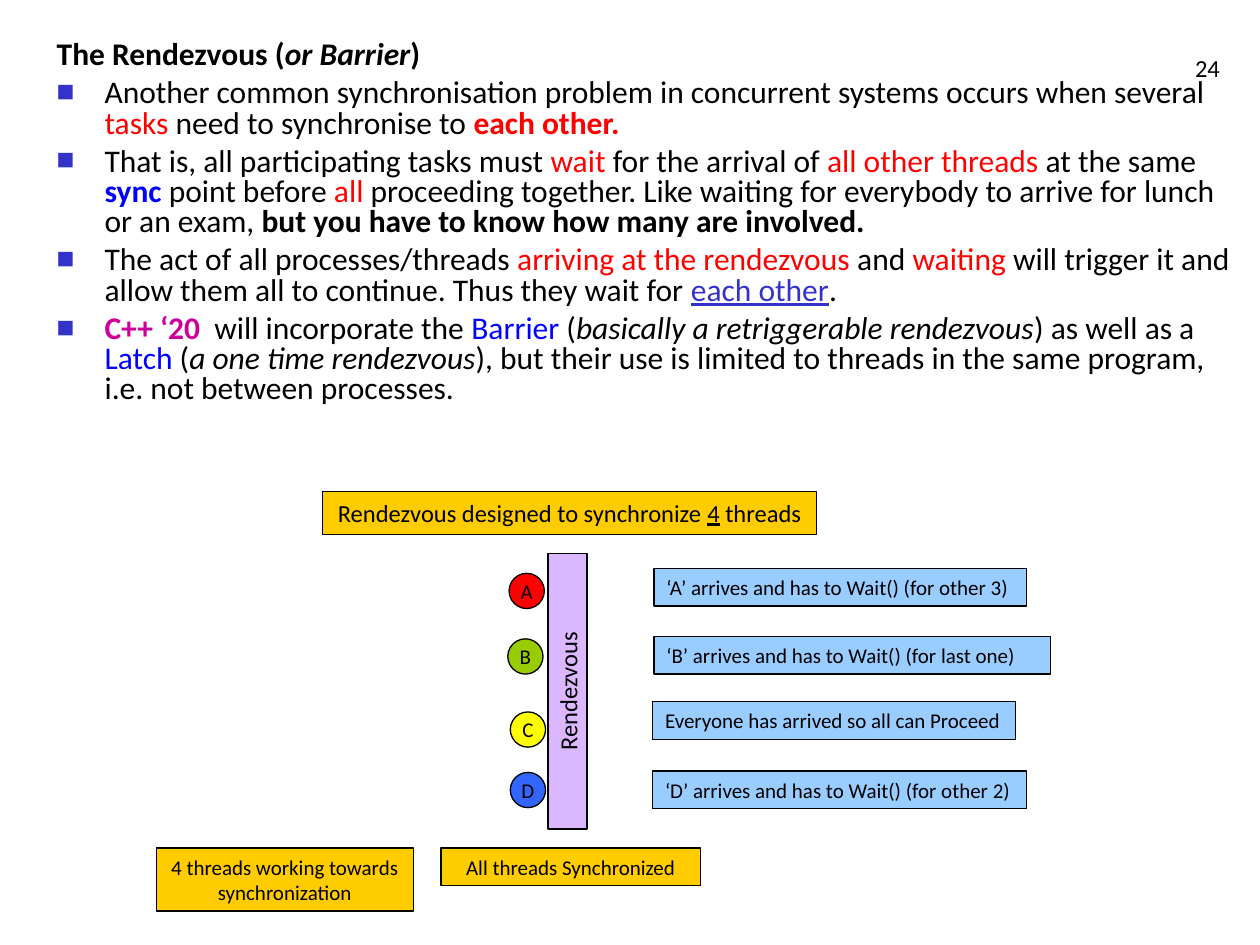
from dataclasses import dataclass

from lxml.etree import SubElement
from pptx import Presentation
from pptx.dml.color import RGBColor as RGB
from pptx.enum.shapes import MSO_SHAPE as Form
from pptx.enum.text import MSO_ANCHOR as Anchor, MSO_AUTO_SIZE as Auto, PP_ALIGN as Align
from pptx.oxml.ns import qn
from pptx.util import Inches, Pt


@dataclass(frozen=True)
class Theme:
    font: str = "Calibri"
    body: int = 18
    label: int = 14
    note: int = 12
    edge: float = 0.75
    black: str = "000000"
    red: str = "FF0000"
    blue: str = "0000FF"
    navy: str = "3333CC"
    pink: str = "CC0099"
    lilac: str = "DBB7FF"
    gold: str = "FFCC00"
    sky: str = "99CCFF"
    green: str = "99CC00"
    yellow: str = "FFFF00"
    azure: str = "3366FF"


T = Theme()
RED, BLUE = {"color": T.red}, {"color": T.blue}
BOLD, SLANT, LINED = {"bold": True}, {"italic": True}, {"underline": True}

HEAD = [("The Rendezvous (", BOLD), ("or Barrier", BOLD | SLANT), (")", BOLD)]
POINTS = [
    [
        ("Another common synchronisation problem in concurrent systems occurs when several ", {}),
        ("tasks ", RED),
        ("need to synchronise to ", {}),
        ("each other.", RED | BOLD),
    ],
    [
        ("That is, all participating tasks must ", {}),
        ("wait ", RED),
        ("for the arrival of", {}),
        (" all other threads", RED),
        (" at the same ", {}),
        ("sync", BLUE | BOLD),
        (" point before ", {}),
        ("all ", RED),
        ("proceeding together. Like waiting for everybody to arrive for lunch or an exam, ", {}),
        ("but you have to know how many are involved.", BOLD),
    ],
    [
        ("The act of all processes/threads ", {}),
        ("arriving at the rendezvous", RED),
        (" and ", {}),
        ("waiting", RED),
        (" will trigger it and allow them all to continue. Thus they wait for ", {}),
        ("each other", LINED | {"color": T.navy}),
        (".", {}),
    ],
    [
        ("C++ ‘20", BOLD | {"color": T.pink}),
        ("  will incorporate the ", {}),
        ("Barrier", BLUE),
        (" (", {}),
        ("basically a retriggerable rendezvous", SLANT),
        (") as well as a ", {}),
        ("Latch", BLUE),
        (" (", {}),
        ("a one time rendezvous", SLANT),
        ("), but their use is limited to threads in the same program, "
         "i.e. not between processes.", {}),
    ],
]
THREADS = [
    ("A", 4.04, 4.55, T.red),
    ("B", 4.03, 5.07, T.green),
    ("C", 4.05, 5.65, T.yellow),
    ("D", 4.05, 6.13, T.azure),
]
NOTES = [
    ("‘A’ arrives and has to Wait() (for other 3)", 5.19, 4.51, 2.96),
    ("‘B’ arrives and has to Wait() (for last one)", 5.19, 5.05, 3.15),
    ("Everyone has arrived so all can Proceed", 5.18, 5.57, 2.88),
    ("‘D’ arrives and has to Wait() (for other 2)", 5.18, 6.12, 2.97),
]
RULE = [("Rendezvous designed to synchronize ", {}), ("4", LINED), (" threads", {})]


def write(par, text, size=T.note, color=T.black, bold=False, italic=False, underline=False):
    """Add a formatted run to a paragraph."""
    run = par.add_run()
    run.text = text
    font = run.font
    font.name, font.size = T.font, Pt(size)
    font.bold, font.italic, font.underline = bold, italic, underline
    font.color.rgb = RGB.from_string(color)


class Page:
    """Holds the theme and the slide, and draws each kind of element."""

    def __init__(self, deck, theme):
        self.theme = theme
        self.slide = deck.slides.add_slide(deck.slide_layouts[1])
        title = self.slide.shapes.title.element
        title.getparent().remove(title)

    def place(self, shape, *area):
        """Move and size a shape."""
        shape.left, shape.top, shape.width, shape.height = map(Inches, area)

    def bullet(self, par):
        """Give a paragraph the square bullet."""
        props = par._p.get_or_add_pPr()
        tint = SubElement(props, qn("a:buClr"))
        SubElement(tint, qn("a:srgbClr"), val=self.theme.navy)
        SubElement(props, qn("a:buSzPct"), val="60000")
        SubElement(props, qn("a:buFont"), typeface=self.theme.font)
        SubElement(props, qn("a:buChar"), char="■")

    def body(self, head, points, *area):
        """Fill the body placeholder with a heading and bullets."""
        shape = self.slide.placeholders[1]
        self.place(shape, *area)
        frame = shape.text_frame
        frame.word_wrap, frame.auto_size = True, Auto.NONE
        for rank, runs in enumerate([head, *points]):
            par = frame.add_paragraph() if rank else frame.paragraphs[0]
            props = par._p.get_or_add_pPr()
            props.set("marL", str(Inches(0.38)))
            props.set("indent", str(Inches(-0.38)))
            if rank:
                self.bullet(par)
            else:
                SubElement(props, qn("a:buNone"))
            par.line_spacing = 0.8
            par.space_before = Pt(4.5 if rank else 0)
            for text, style in runs:
                write(par, text, size=self.theme.body, **style)

    def number(self, text, *area):
        """Add the page number."""
        frame = self.slide.shapes.add_textbox(*map(Inches, area)).text_frame
        frame.word_wrap, frame.vertical_anchor = True, Anchor.BOTTOM
        par = frame.paragraphs[0]
        par.alignment = Align.RIGHT
        write(par, text, size=self.theme.label)

    def shape(self, runs, fill, *area, form=Form.RECTANGLE, size=T.note,
              align=Align.CENTER, anchor=Anchor.TOP, wrap=True, turn=0):
        """Add an outlined shape with text."""
        shape = self.slide.shapes.add_shape(form, *map(Inches, area))
        shape.shadow.inherit = False
        shape.rotation = turn
        shape.fill.solid()
        shape.fill.fore_color.rgb = RGB.from_string(fill)
        shape.line.color.rgb = RGB.from_string(self.theme.black)
        shape.line.width = Pt(self.theme.edge)
        frame = shape.text_frame
        frame.word_wrap, frame.vertical_anchor = wrap, anchor
        frame.auto_size = Auto.SHAPE_TO_FIT_TEXT if wrap else Auto.NONE
        par = frame.paragraphs[0]
        par.alignment = align
        for text, style in runs:
            write(par, text, size=size, **style)

    def disc(self, text, fill, left, top):
        """Add a thread marker."""
        self.shape([(text, {})], fill, left, top, 0.28, 0.28, form=Form.OVAL,
                   anchor=Anchor.MIDDLE, wrap=False)


def main():
    """Build the slide and save it."""
    deck = Presentation()
    deck.slide_width, deck.slide_height = Inches(10), Inches(7.5)
    page = Page(deck, T)
    page.number("24", 7.7, 0.2, 2.08, 0.5)
    page.body(HEAD, POINTS, 0.35, 0.28, 9.52, 4.26)
    page.shape([("Rendezvous", {})], T.lilac, 3.41, 5.33, 2.19, 0.31, size=T.label,
               anchor=Anchor.MIDDLE, wrap=False, turn=270)
    page.shape([("4 threads working towards synchronization", {})], T.gold,
               1.24, 6.73, 2.04, 0.5)
    page.shape([("All threads Synchronized", {})], T.gold, 3.5, 6.73, 2.06, 0.3)
    page.shape(RULE, T.gold, 2.56, 3.9, 3.92, 0.34, size=T.label)
    for text, left, top, width in NOTES:
        page.shape([(text, {})], T.sky, left, top, width, 0.3, align=Align.LEFT)
    for text, left, top, fill in THREADS:
        page.disc(text, fill, left, top)
    deck.save("out.pptx")


if __name__ == "__main__":
    main()
